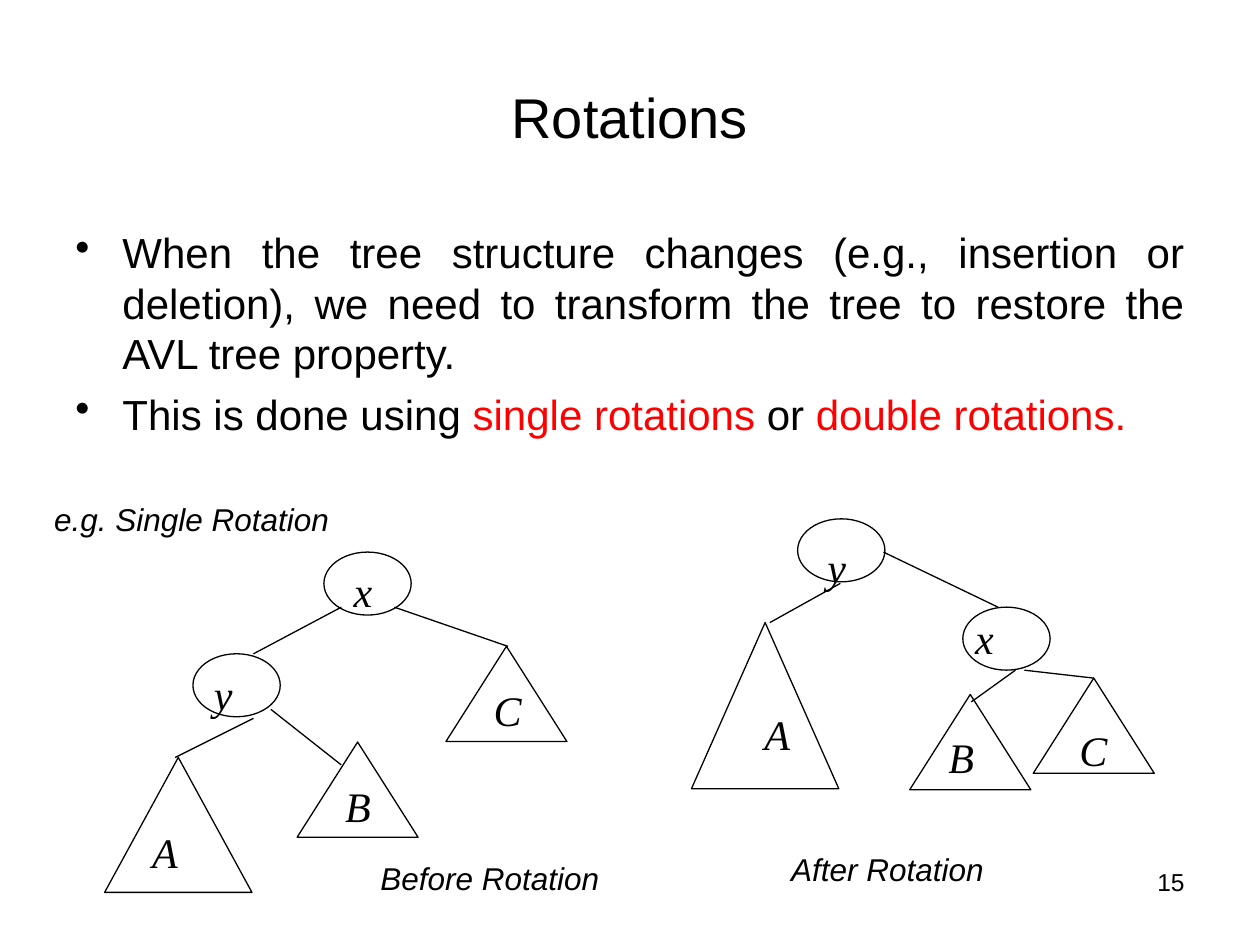
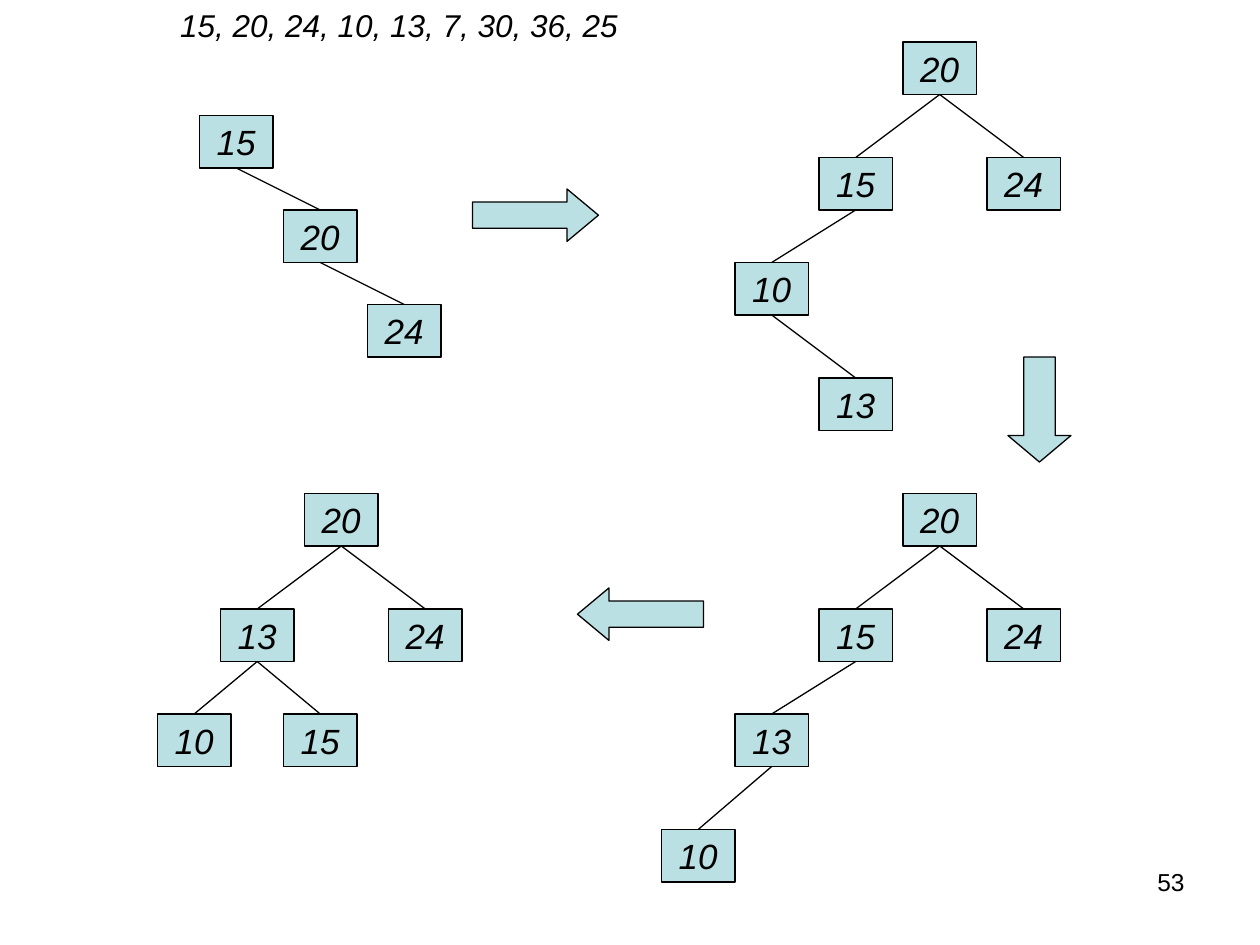
from dataclasses import dataclass

import pptx
import pptx.dml.color
import pptx.enum.shapes
import pptx.enum.text
import pptx.util
from lxml import etree
from pptx.oxml.ns import qn

Cm = pptx.util.Cm
Shape = pptx.enum.shapes.MSO_SHAPE
Align = pptx.enum.text.PP_ALIGN
Anchor = pptx.enum.text.MSO_ANCHOR

BLACK = "000000"
RED = "FF0000"
PALE_TEAL = "BBE0E3"
LINE_WIDTH = pptx.util.Pt(0.75)
GRID_STEP = 2.54 / 12  # cm between grid lines of the insertion slide
NODE_WIDTH, NODE_HEIGHT = 7, 5  # grid steps


@dataclass(frozen=True)
class Area:
    """Left, top, width and height in centimetres."""
    left: float
    top: float
    width: float
    height: float

    def lengths(self) -> tuple:
        return Cm(self.left), Cm(self.top), Cm(self.width), Cm(self.height)


@dataclass(frozen=True)
class TextStyle:
    size: int
    font: str = "Arial"
    italic: bool = False
    align: Align = Align.LEFT
    anchor: Anchor = Anchor.TOP


TITLE = TextStyle(32, align=Align.CENTER, anchor=Anchor.MIDDLE)
BODY = TextStyle(24, align=Align.JUSTIFY)
CAPTION = TextStyle(18, italic=True)
TREE_LABEL = TextStyle(24, font="Times New Roman", italic=True)
NODE_KEY = TextStyle(20, italic=True, align=Align.CENTER, anchor=Anchor.MIDDLE)
PAGE_NUMBER = TextStyle(14, align=Align.RIGHT)


@dataclass(frozen=True)
class TreePart:
    """A node or subtree with its separately placed label."""
    kind: Shape
    area: Area
    label: str
    label_area: Area


@dataclass(frozen=True)
class Edge:
    start_x: float
    start_y: float
    end_x: float
    end_y: float


@dataclass(frozen=True)
class KeyNode:
    """A key at a grid place; parent is an index in the same tree."""
    key: int
    column: int
    row: int
    parent: int | None = None


@dataclass(frozen=True)
class StepArrow:
    kind: Shape
    area: Area
    head_ratio: float


def color(value: str) -> pptx.dml.color.RGBColor:
    return pptx.dml.color.RGBColor.from_string(value)


def format_paragraph(para, style: TextStyle) -> None:
    para.alignment = style.align
    for span in para.runs:
        span.font.size = pptx.util.Pt(style.size)
        span.font.name = style.font
        span.font.italic = style.italic
        span.font.color.rgb = color(BLACK)


def add_text(page, area: Area, text: str, style: TextStyle):
    box = page.shapes.add_textbox(*area.lengths())
    frame = box.text_frame
    frame.word_wrap = True
    frame.vertical_anchor = style.anchor
    frame.text = text
    format_paragraph(frame.paragraphs[0], style)
    return box


def add_outline(page, kind: Shape, area: Area, fill: str | None = None):
    shape = page.shapes.add_shape(kind, *area.lengths())
    shape.shadow.inherit = False
    shape.line.color.rgb = color(BLACK)
    shape.line.width = LINE_WIDTH
    if fill:
        shape.fill.solid()
        shape.fill.fore_color.rgb = color(fill)
    else:
        shape.fill.background()
    return shape


def add_edge(page, edge: Edge) -> None:
    line = page.shapes.add_connector(
        pptx.enum.shapes.MSO_CONNECTOR.STRAIGHT,
        Cm(edge.start_x), Cm(edge.start_y), Cm(edge.end_x), Cm(edge.end_y))
    line.line.color.rgb = color(BLACK)
    line.line.width = LINE_WIDTH
    etree.SubElement(line._element.spPr, qn("a:effectLst"))


def set_indent(para, margin: float, first_line: float = 0, bullet: str = "") -> None:
    properties = para._p.get_or_add_pPr()
    properties.set("marL", str(Cm(margin)))
    properties.set("indent", str(Cm(first_line)))
    if bullet:
        etree.SubElement(properties, qn("a:buChar")).set("char", bullet)


def add_page(deck, number: int):
    page = deck.slides.add_slide(deck.slide_layouts[6])
    add_text(page, Area(18.21, 17.35, 5.92, 1.32), str(number), PAGE_NUMBER)
    return page


def add_bullets(page, area: Area, items: list[list[tuple[str, str]]]) -> None:
    """Each item is a list of (text, colour) spans."""
    frame = add_text(page, area, "", BODY).text_frame
    for index, item in enumerate(items):
        para = frame.add_paragraph() if index else frame.paragraphs[0]
        set_indent(para, 0.95, -0.95, "•")
        if index:
            para.space_before = pptx.util.Pt(6)
        for text, _ in item:
            para.add_run().text = text
        format_paragraph(para, BODY)
        for span, (_, span_color) in zip(para.runs, item):
            span.font.color.rgb = color(span_color)


def circle(label: str, left: float, top: float, label_left: float,
           label_top: float, label_width: float = 4.42) -> TreePart:
    return TreePart(Shape.OVAL, Area(left, top, 1.76, 1.27), label,
                    Area(label_left, label_top, label_width, 1.27))


def subtree(label: str, area: Area, label_left: float, label_top: float,
            label_width: float = 4.42) -> TreePart:
    return TreePart(Shape.ISOSCELES_TRIANGLE, area, label,
                    Area(label_left, label_top, label_width, 1.27))


ROTATION_PARTS = [
    # before
    circle("x", 6.53, 11.13, 6.88, 11.28),
    circle("y", 3.89, 13.18, 4.06, 13.36),
    subtree("A", Area(2.11, 15.27, 2.97, 2.72), 2.82, 16.54),
    subtree("B", Area(5.99, 14.96, 2.44, 1.92), 6.71, 15.6),
    subtree("C", Area(8.99, 13.03, 2.44, 1.92), 9.7, 13.67),
    # after
    circle("y", 16.08, 10.46, 16.43, 10.8),
    circle("x", 19.41, 12.24, 19.41, 12.22, 1.76),
    subtree("A", Area(13.94, 12.55, 2.97, 3.35), 15.16, 14.15, 3),
    subtree("B", Area(18.34, 14, 2.44, 1.92), 18.87, 14.63, 1.76),
    subtree("C", Area(20.83, 13.67, 2.44, 1.92), 21.51, 14.48, 1.76),
]

ROTATION_EDGES = [
    Edge(5.11, 13.18, 6.88, 12.24),
    Edge(3.53, 15.27, 5.11, 14.48),
    Edge(5.46, 14.3, 6.88, 15.42),
    Edge(7.95, 12.24, 10.24, 13.03),
    Edge(17.81, 11.13, 20.12, 12.24),
    Edge(15.52, 12.55, 16.94, 11.76),
    Edge(19.58, 14.15, 20.47, 13.51),
    Edge(20.65, 13.51, 22.05, 13.67),
]

ROTATION_CAPTIONS = [
    ("Before Rotation", Area(7.42, 17.2, 5.28, 1.02)),
    ("After Rotation", Area(15.7, 17.02, 5.28, 1.02)),
    ("e.g. Single Rotation", Area(0.84, 9.96, 7.82, 1.02)),
]

INSERTION_TREES = [
    [KeyNode(15, 19, 11), KeyNode(20, 27, 20, 0), KeyNode(24, 35, 29, 1)],
    [KeyNode(20, 86, 4), KeyNode(15, 78, 15, 0), KeyNode(24, 94, 15, 0),
     KeyNode(10, 70, 25, 1), KeyNode(13, 78, 36, 3)],
    [KeyNode(20, 86, 47), KeyNode(15, 78, 58, 0), KeyNode(24, 94, 58, 0),
     KeyNode(13, 70, 68, 1), KeyNode(10, 63, 79, 3)],
    [KeyNode(20, 29, 47), KeyNode(13, 21, 58, 0), KeyNode(24, 37, 58, 0),
     KeyNode(10, 15, 68, 1), KeyNode(15, 27, 68, 1)],
]


def grid_area(column: int, row: int, width: int, height: int) -> Area:
    return Area(*(steps * GRID_STEP for steps in (column, row, width, height)))


STEP_ARROWS = [
    StepArrow(Shape.RIGHT_ARROW, grid_area(45, 18, 12, 5), 0.6),
    StepArrow(Shape.DOWN_ARROW, grid_area(96, 34, 6, 10), 0.42),
    StepArrow(Shape.LEFT_ARROW, grid_area(55, 56, 12, 5), 0.6),
]


def draw_key_tree(page, nodes: list[KeyNode]) -> None:
    areas = [grid_area(node.column, node.row, NODE_WIDTH, NODE_HEIGHT) for node in nodes]
    for node, area in zip(nodes, areas):
        box = add_outline(page, Shape.RECTANGLE, area, PALE_TEAL)
        frame = box.text_frame
        frame.word_wrap = False
        frame.vertical_anchor = NODE_KEY.anchor
        frame.text = str(node.key)
        format_paragraph(frame.paragraphs[0], NODE_KEY)
        if node.parent is not None:
            parent = areas[node.parent]
            add_edge(page, Edge(parent.left + parent.width / 2, parent.top + parent.height,
                                area.left + area.width / 2, area.top))


def build_rotations_page(deck) -> None:
    page = add_page(deck, 15)
    add_text(page, Area(1.27, 0.76, 22.86, 3.18), "Rotations", TITLE)
    add_bullets(page, Area(1.27, 4.45, 22.86, 12.57), [
        [("When the tree structure changes (e.g., insertion or deletion), we need to "
          "transform the tree to restore the AVL tree property.", BLACK)],
        [("This is done using ", BLACK), ("single rotations ", RED),
         ("or ", BLACK), ("double rotations.", RED)],
    ])
    for part in ROTATION_PARTS:
        add_outline(page, part.kind, part.area)
        add_text(page, part.label_area, part.label, TREE_LABEL)
    for edge in ROTATION_EDGES:
        add_edge(page, edge)
    for text, area in ROTATION_CAPTIONS:
        add_text(page, area, text, CAPTION)


def build_insertion_page(deck) -> None:
    page = add_page(deck, 53)
    keys = add_text(page, Area(2.11, 0, 20.75, 1.02),
                    "15, 20, 24, 10, 13, 7, 30, 36, 25", CAPTION)
    set_indent(keys.text_frame.paragraphs[0], 1.27)
    for nodes in INSERTION_TREES:
        draw_key_tree(page, nodes)
    for arrow in STEP_ARROWS:
        shape = add_outline(page, arrow.kind, arrow.area, PALE_TEAL)
        shape.adjustments[0] = 0.5
        shape.adjustments[1] = arrow.head_ratio


def main() -> None:
    deck = pptx.Presentation()
    deck.slide_width, deck.slide_height = Cm(25.4), Cm(19.05)
    build_rotations_page(deck)
    build_insertion_page(deck)
    deck.save("out.pptx")


if __name__ == "__main__":
    main()
